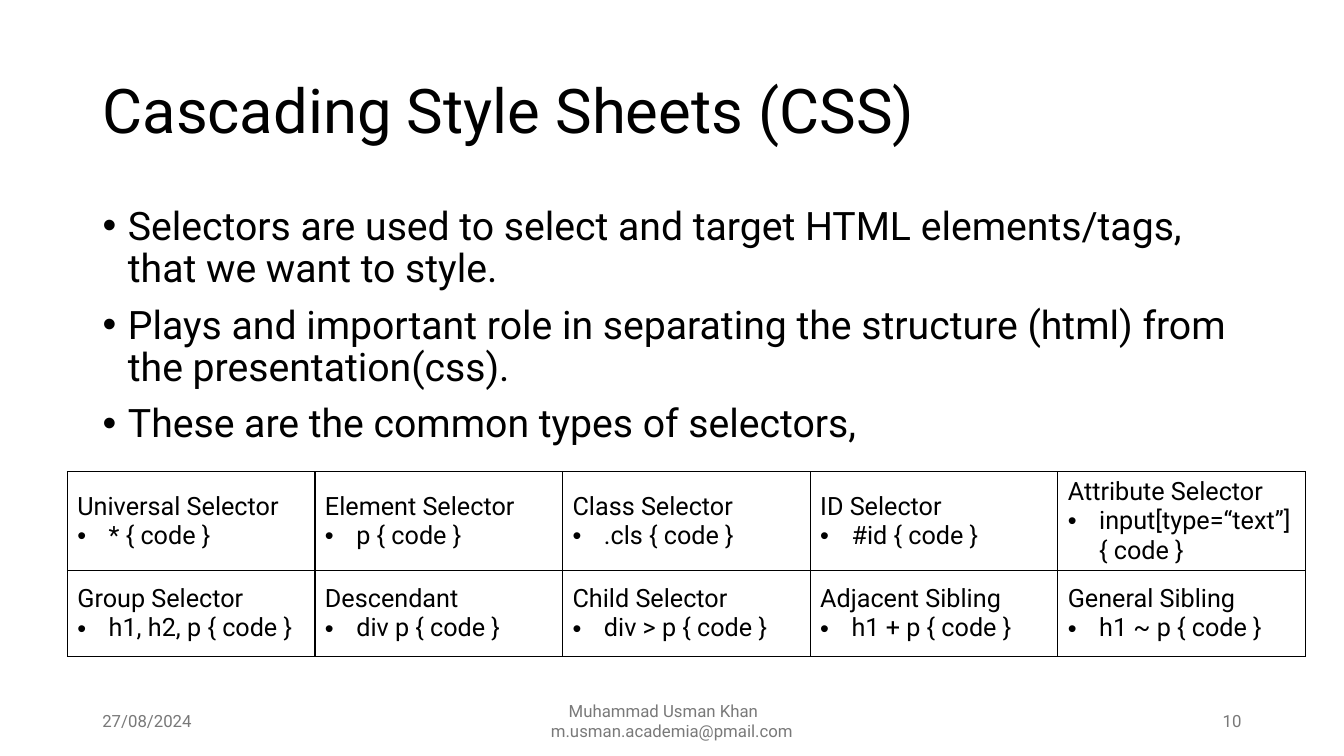
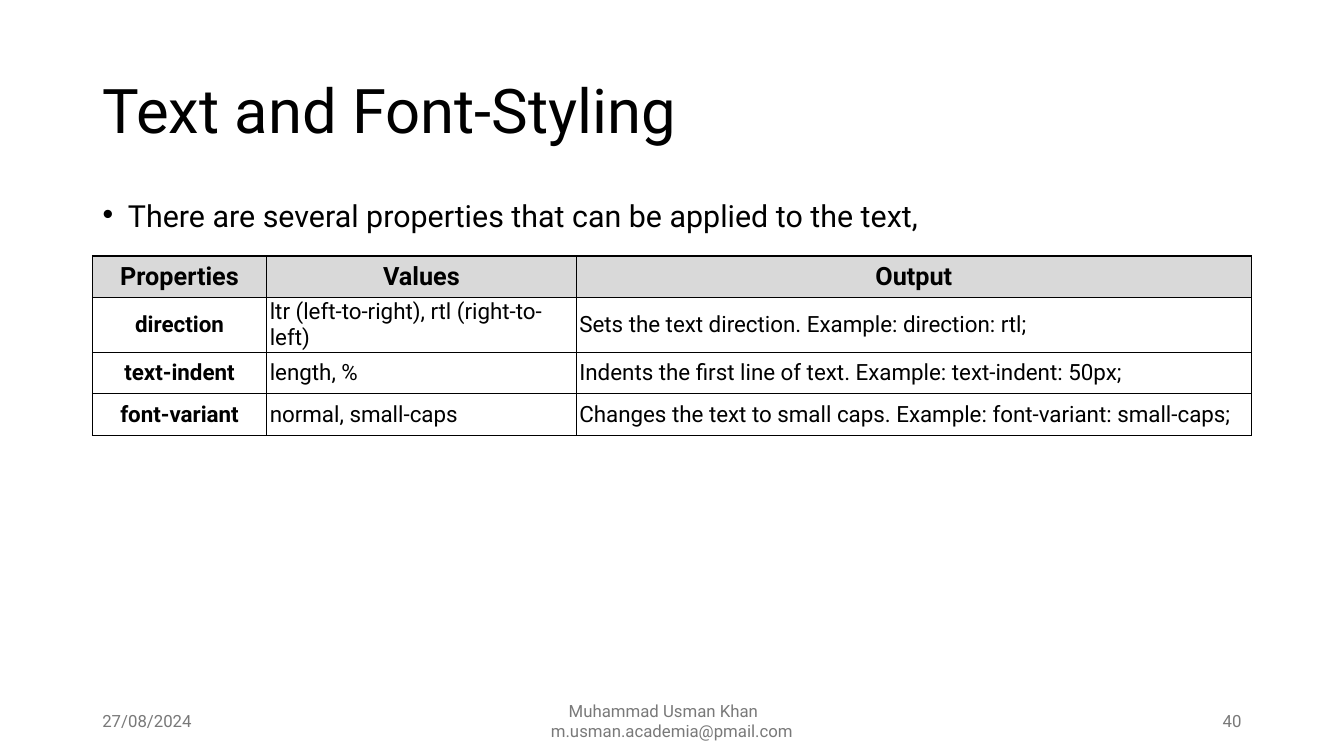
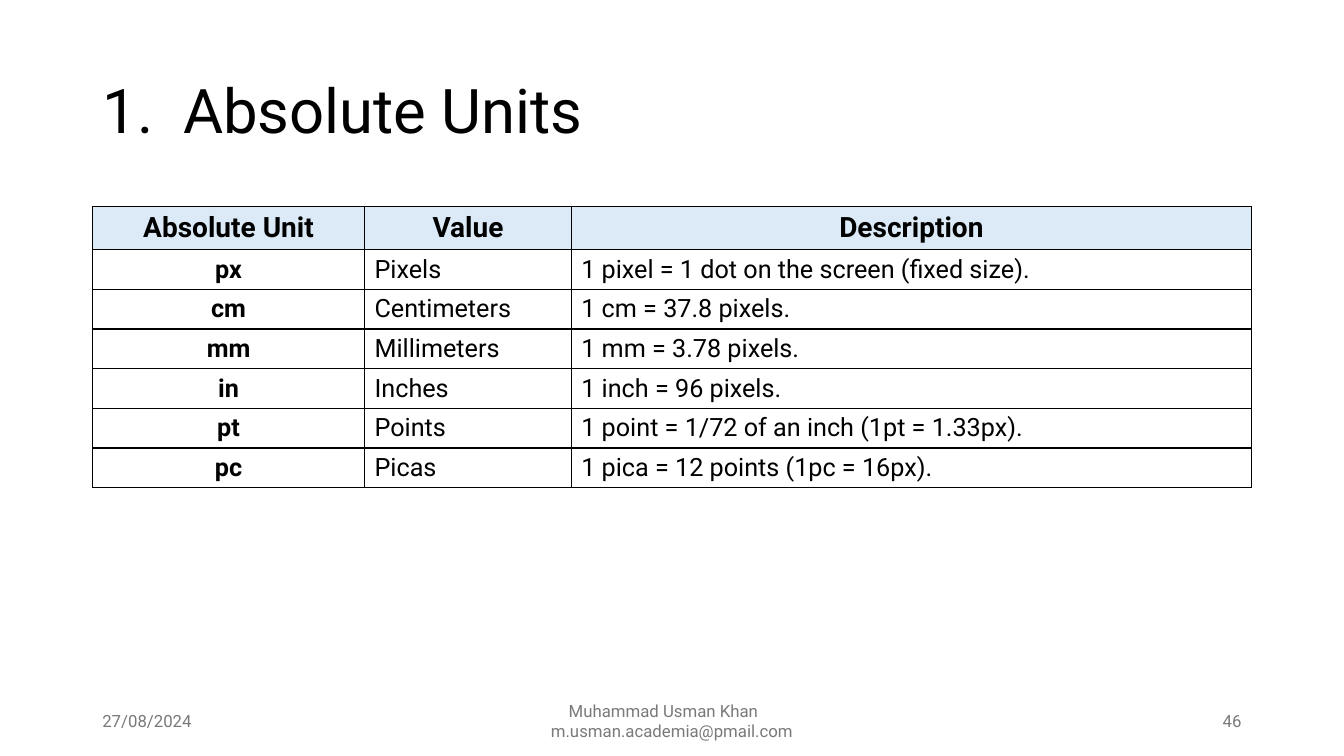
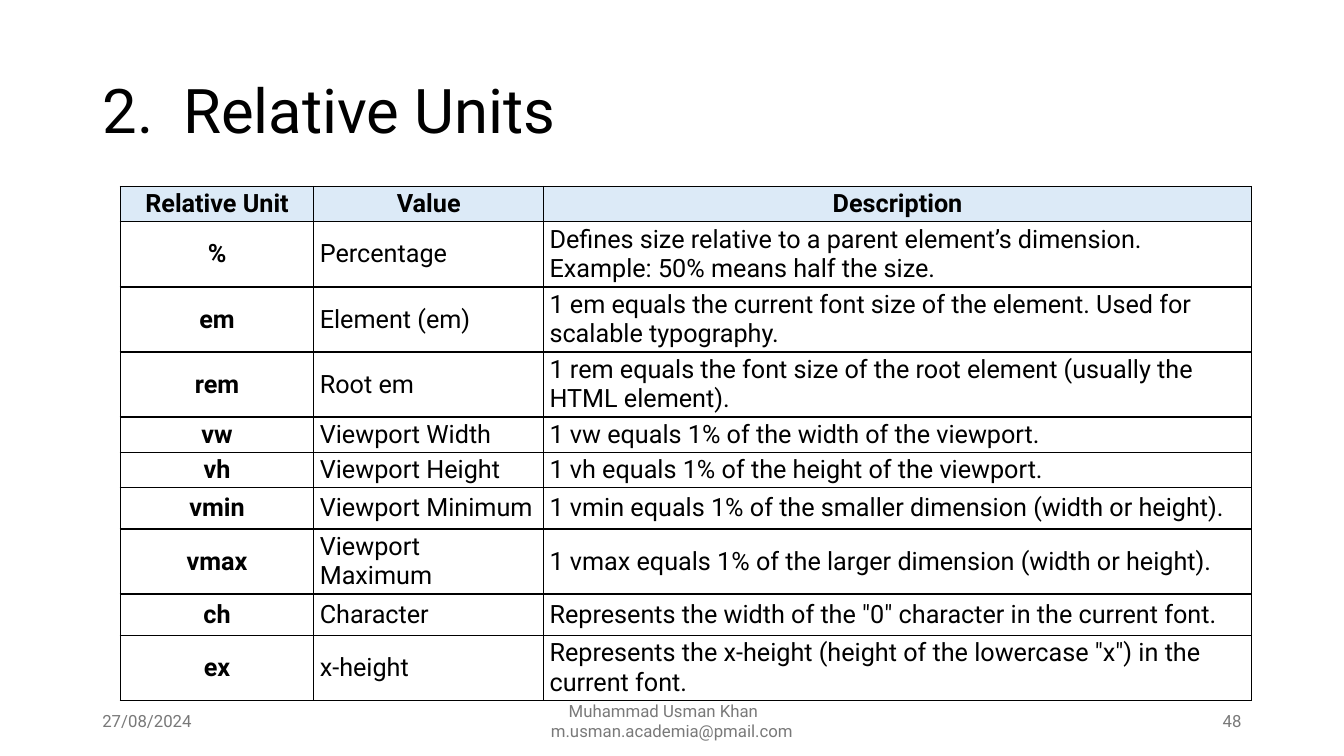
"""Build four lecture slides on CSS selectors, text properties and units."""
from dataclasses import dataclass

from lxml import etree
from pptx import Presentation
from pptx.dml.color import RGBColor
from pptx.enum import text as t
from pptx.oxml import ns
from pptx.util import Cm, Pt


@dataclass(frozen=True)
class Theme:
    font: str = "Roboto"
    ink: str = "000000"
    muted: str = "797979"
    grey: str = "D9D9D9"
    blue: str = "DCEAF7"
    title: float = 44
    body: float = 28
    body_small: float = 21.7
    footer: float = 12
    border: float = 1


THEME = Theme()
LEFT, CENTER, RIGHT = t.PP_ALIGN.LEFT, t.PP_ALIGN.CENTER, t.PP_ALIGN.RIGHT
MARGIN, CONTENT_WIDTH = 2.33, 29.21
TITLE_TOP, TITLE_HEIGHT, TITLE_TAB = 1.01, 3.68, 2.03
BODY_TOP, BULLET_INDENT, CELL_INDENT = 5.08, 0.64, 0.79
FOOTER_TOP, FOOTER_HEIGHT, SIDE_WIDTH, AUTHOR_WIDTH = 17.66, 1.01, 7.62, 11.43
DEFAULT_INSET = (0.25, 0.09)

DATE = "27/08/2024"
AUTHOR = ("Muhammad Usman Khan", "m.usman.academia@pmail.com")
AUTHOR_SHIFTS = (0.43, 0)

SELECTORS = [
    [("Universal Selector", "* { code }"), ("Element Selector", "p { code }"),
     ("Class Selector", ".cls { code }"), ("ID Selector", "#id { code }"),
     ("Attribute Selector", "input[type=“text”] { code }")],
    [("Group Selector", "h1, h2, p { code }"), ("Descendant", "div p { code }"),
     ("Child Selector", "div > p { code }"), ("Adjacent Sibling", "h1 + p { code }"),
     ("General Sibling", "h1 ~ p { code }")],
]
TEXT_PROPERTIES = [
    ("Properties", "Values", "Output"),
    ("direction", "ltr (left-to-right), rtl (right-to-left)",
     "Sets the text direction. Example: direction: rtl;"),
    ("text-indent", "length, %",
     "Indents the first line of text. Example: text-indent: 50px;"),
    ("font-variant", "normal, small-caps",
     "Changes the text to small caps. Example: font-variant: small-caps;"),
]
ABSOLUTE_UNITS = [
    ("Absolute Unit", "Value", "Description"),
    ("px", "Pixels", "1 pixel = 1 dot on the screen (fixed size)."),
    ("cm", "Centimeters", "1 cm = 37.8 pixels."),
    ("mm", "Millimeters", "1 mm = 3.78 pixels."),
    ("in", "Inches", "1 inch = 96 pixels."),
    ("pt", "Points", "1 point = 1/72 of an inch (1pt = 1.33px)."),
    ("pc", "Picas", "1 pica = 12 points (1pc = 16px)."),
]
RELATIVE_UNITS = [
    ("Relative Unit", "Value", "Description"),
    ("%", "Percentage", "Defines size relative to a parent element’s dimension. "
     "Example: 50% means half the size."),
    ("em", "Element (em)", "1 em equals the current font size of the element. "
     "Used for scalable typography."),
    ("rem", "Root em", "1 rem equals the font size of the root element "
     "(usually the HTML element)."),
    ("vw", "Viewport Width", "1 vw equals 1% of the width of the viewport."),
    ("vh", "Viewport Height", "1 vh equals 1% of the height of the viewport."),
    ("vmin", "Viewport Minimum",
     "1 vmin equals 1% of the smaller dimension (width or height)."),
    ("vmax", "Viewport Maximum",
     "1 vmax equals 1% of the larger dimension (width or height)."),
    ("ch", "Character", 'Represents the width of the "0" character in the current font.'),
    ("ex", "x-height", 'Represents the x-height (height of the lowercase "x") '
     "in the current font."),
]

SLIDES = [
    dict(number=10, title="Cascading Style Sheets (CSS)",
         bullets=["Selectors are used to select and target HTML elements/tags, "
                  "that we want to style.",
                  "Plays and important role in separating the structure (html) "
                  "from the presentation(css).",
                  "These are the common types of selectors,"],
         body=dict(height=12.09, size=THEME.body, spacing=0.9),
         table=dict(rows=SELECTORS, at=(1.7, 11.89), cols=[6.24] * 5,
                    heights=[2.49, 2.16], size=18)),
    dict(number=40, title="Text and Font-Styling",
         bullets=["There are several properties that can be applied to the text,"],
         body=dict(height=1.02, size=THEME.body_small, spacing=0.7),
         table=dict(rows=TEXT_PROPERTIES, at=(MARGIN, 6.45), cols=[4.39, 7.8, 17.02],
                    heights=[1.04, 1.39, 1.04, 1.04], size=16, head_size=18,
                    head_fill=THEME.grey, inset=(0.08, 0.02))),
    dict(number=46, title="1.\tAbsolute Units",
         table=dict(rows=ABSOLUTE_UNITS, at=(MARGIN, 5.21), cols=[6.86, 5.21, 17.14],
                    heights=[1.08] + [1] * 6, size=18, head_size=20,
                    head_fill=THEME.blue)),
    dict(number=48, title="2.\tRelative Units",
         table=dict(rows=RELATIVE_UNITS, at=(3.03, 4.7), cols=[4.88, 5.79, 17.84],
                    heights=[0.89, 1.64, 1.64, 1.64, 0.89, 0.89, 1.04, 1.64, 1.04, 1.64],
                    size=18, head_size=18, head_fill=THEME.blue,
                    inset=(0.15, 0.05), head_inset=(0.15, 0.05))),
]


def child(parent, tag, **attributes):
    return etree.SubElement(parent, ns.qn(tag), attributes)


def place(item, left, top, width, height):
    item.left, item.top, item.width, item.height = map(Cm, (left, top, width, height))


def paragraphs(frame, lines):
    for index, line in enumerate(lines):
        yield (frame.add_paragraph() if index else frame.paragraphs[0]), line


def write(paragraph, words, size, align=LEFT, bold=False, color=THEME.ink):
    paragraph.alignment = align
    run = paragraph.add_run()
    run.text = words
    run.font.name, run.font.size, run.font.bold = THEME.font, Pt(size), bold
    run.font.color.rgb = RGBColor.from_string(color)


def add_bullet(paragraph, indent):
    properties = paragraph._p.get_or_add_pPr()
    properties.set("marL", str(Cm(indent)))
    properties.set("indent", str(-Cm(indent)))
    child(properties, "a:buFont", typeface="Arial")
    child(properties, "a:buChar", char="•")


def add_title(slide, words):
    title = slide.shapes.title
    place(title, MARGIN, TITLE_TOP, CONTENT_WIDTH, TITLE_HEIGHT)
    frame = title.text_frame
    frame.auto_size = t.MSO_AUTO_SIZE.NONE
    frame.vertical_anchor = t.MSO_ANCHOR.MIDDLE
    heading = frame.paragraphs[0]
    heading.line_spacing = 0.9
    write(heading, words, THEME.title)
    if "\t" in words:
        stops = child(heading._p.get_or_add_pPr(), "a:tabLst")
        child(stops, "a:tab", pos=str(Cm(TITLE_TAB)), algn="l")


def add_body(slide, bullets, height, size, spacing):
    body = slide.placeholders[1]
    place(body, MARGIN, BODY_TOP, CONTENT_WIDTH, height)
    body.text_frame.auto_size = t.MSO_AUTO_SIZE.NONE
    for paragraph, words in paragraphs(body.text_frame, bullets):
        paragraph.line_spacing = spacing
        paragraph.space_before = Pt(10)
        write(paragraph, words, size)
        add_bullet(paragraph, BULLET_INDENT)


def add_footer(slide, number):
    parts = [
        (MARGIN, SIDE_WIDTH, LEFT, [DATE]),
        (MARGIN + (CONTENT_WIDTH - AUTHOR_WIDTH) / 2, AUTHOR_WIDTH, CENTER, AUTHOR),
        (MARGIN + CONTENT_WIDTH - SIDE_WIDTH, SIDE_WIDTH, RIGHT, [str(number)]),
    ]
    for left, width, align, lines in parts:
        box = slide.shapes.add_textbox(
            *map(Cm, (left, FOOTER_TOP, width, FOOTER_HEIGHT)))
        frame = box.text_frame
        frame.word_wrap = True
        frame.vertical_anchor = t.MSO_ANCHOR.MIDDLE
        for paragraph, words in paragraphs(frame, lines):
            write(paragraph, words, THEME.footer, align, color=THEME.muted)
        if lines is AUTHOR:
            for paragraph, shift in zip(frame.paragraphs, AUTHOR_SHIFTS):
                properties = paragraph._p.get_or_add_pPr()
                properties.set("marL", "0")
                properties.set("marR", str(Cm(shift)))


def style_cell(cell, inset, fill):
    cell.vertical_anchor = t.MSO_ANCHOR.MIDDLE
    cell.margin_left = cell.margin_right = Cm(inset[0])
    cell.margin_top = cell.margin_bottom = Cm(inset[1])
    properties = cell._tc.get_or_add_tcPr()
    for side in ("a:lnL", "a:lnR", "a:lnT", "a:lnB"):
        line = child(properties, side, w=str(Pt(THEME.border)))
        child(child(line, "a:solidFill"), "a:srgbClr", val=THEME.ink)
    if fill:
        cell.fill.solid()
        cell.fill.fore_color.rgb = RGBColor.from_string(fill)
    else:
        cell.fill.background()


def add_grid(slide, rows, at, cols, heights, size, head_size=None, head_fill=None,
             inset=DEFAULT_INSET, head_inset=DEFAULT_INSET):
    table = slide.shapes.add_table(
        len(rows), len(cols), *map(Cm, (*at, sum(cols), sum(heights)))).table
    table.first_row = table.horz_banding = False
    for column, width in zip(table.columns, cols):
        column.width = Cm(width)
    for row, height in zip(table.rows, heights):
        row.height = Cm(height)
    for r, row in enumerate(rows):
        head = bool(head_fill) and r == 0
        for c, content in enumerate(row):
            cell = table.cell(r, c)
            style_cell(cell, head_inset if head else inset, head_fill if head else None)
            strong = head or (bool(head_fill) and c == 0)
            lines = [content] if isinstance(content, str) else content
            for paragraph, words in paragraphs(cell.text_frame, lines):
                write(paragraph, words, head_size if head else size,
                      CENTER if strong else LEFT, strong)
            for example in cell.text_frame.paragraphs[1:]:
                add_bullet(example, CELL_INDENT)


def main():
    deck = Presentation()
    deck.slide_width, deck.slide_height = Cm(33.87), Cm(19.05)
    with_body, title_only = deck.slide_layouts[1], deck.slide_layouts[5]
    for content in SLIDES:
        bullets = content.get("bullets")
        slide = deck.slides.add_slide(with_body if bullets else title_only)
        add_title(slide, content["title"])
        if bullets:
            add_body(slide, bullets, **content["body"])
        add_footer(slide, content["number"])
        add_grid(slide, **content["table"])
    deck.save("out.pptx")


if __name__ == "__main__":
    main()
